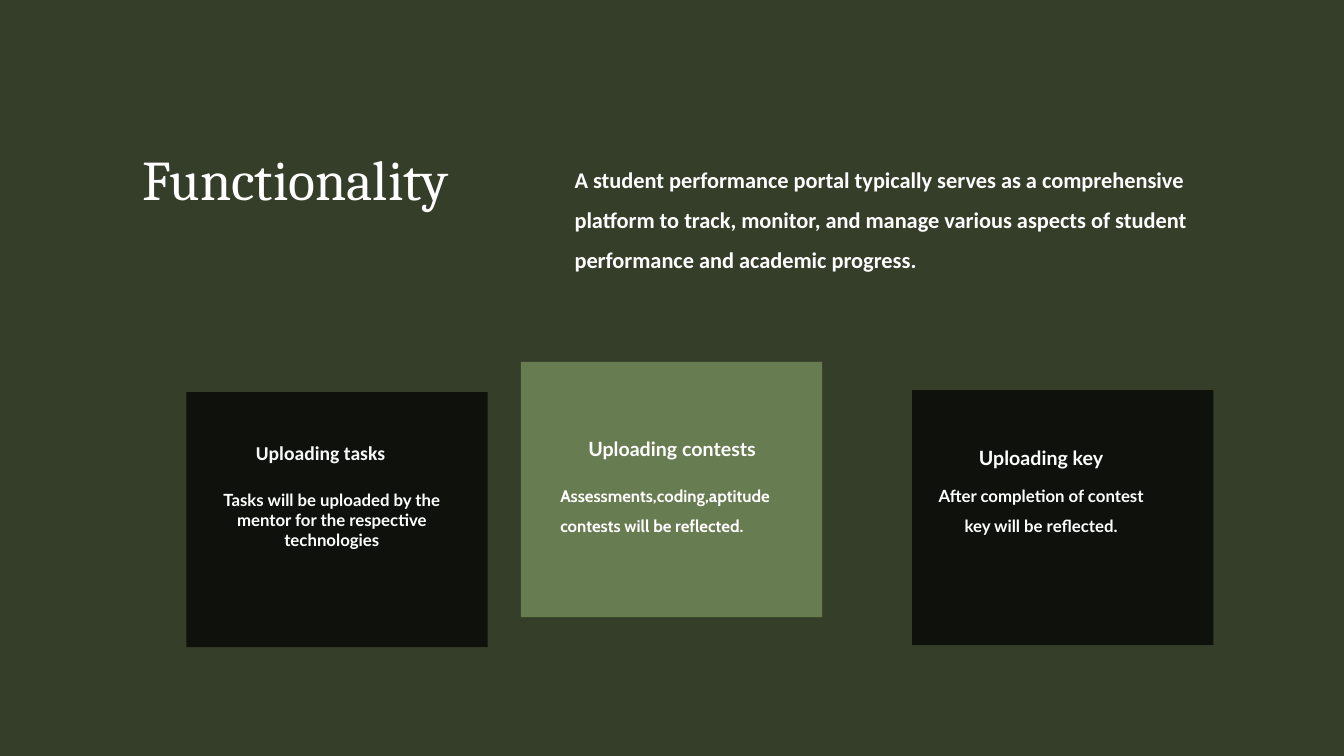
from lxml.etree import SubElement
from pptx import Presentation
from pptx.dml.color import RGBColor
from pptx.enum.shapes import MSO_SHAPE
from pptx.enum.text import MSO_ANCHOR, MSO_AUTO_SIZE, PP_ALIGN
from pptx.oxml.ns import qn
from pptx.util import Cm, Pt

COLOURS = {
    "background": "343E29",
    "dark": "000000",
    "green": "687C51",
    "white": "FFFFFF",
    "soft_white": "F8F8F8",
}
CARD_WIDTH, CARD_HEIGHT = 7.59, 6.43
HEADING_SIZE, DETAIL_SIZE = 14, 12


def colour(name):
    """Return the named colour."""
    return RGBColor.from_string(COLOURS[name])


def add_card(page, left, top, fill, opacity=100):
    """Add a borderless card, see-through when opacity is below 100 percent."""
    card = page.shapes.add_shape(
        MSO_SHAPE.RECTANGLE, Cm(left), Cm(top), Cm(CARD_WIDTH), Cm(CARD_HEIGHT)
    )
    card.shadow.inherit = False
    card.line.fill.background()
    card.fill.solid()
    card.fill.fore_color.rgb = colour(fill)
    if opacity < 100:
        tint = card.fill._xPr.find(qn("a:solidFill"))[0]
        SubElement(tint, qn("a:alpha")).set("val", str(opacity * 1000))


def add_text(page, place, text, size, font="Lato", bold=True, align=PP_ALIGN.LEFT,
             spacing=None, ink="white", insets=(0, 0), anchor=MSO_ANCHOR.TOP):
    """Add a one-paragraph text box at place: left, top, width, height in cm."""
    box = page.shapes.add_textbox(*map(Cm, place))
    frame = box.text_frame
    frame.word_wrap = True
    frame.auto_size = MSO_AUTO_SIZE.SHAPE_TO_FIT_TEXT
    frame.vertical_anchor = anchor
    frame.margin_left = frame.margin_right = Cm(insets[0])
    frame.margin_top = frame.margin_bottom = Cm(insets[1])
    para = frame.paragraphs[0]
    para.alignment = align
    para.line_spacing = spacing
    span = para.add_run()
    span.text = text
    span.font.name = font
    span.font.size = Pt(size)
    span.font.bold = bold
    span.font.color.rgb = colour(ink)


def main():
    """Build the functionality slide."""
    deck = Presentation()
    deck.slide_width, deck.slide_height = Cm(33.87), Cm(19.05)
    page = deck.slides.add_slide(deck.slide_layouts[6])
    page.background.fill.solid()
    page.background.fill.fore_color.rgb = colour("background")

    add_card(page, 4.7, 9.88, "dark", 70)
    add_card(page, 22.99, 9.83, "dark", 70)
    add_card(page, 13.13, 9.12, "green")

    add_text(page, (3.58, 3.78, 11.84, 1.57), "Functionality", 40, "Cambria",
             bold=False, spacing=Pt(44), anchor=MSO_ANCHOR.MIDDLE)
    add_text(page, (14.48, 3.84, 15.54, 2.97),
             "A student performance portal typically serves as a comprehensive "
             "platform to track, monitor, and manage various aspects of student "
             "performance and academic progress.",
             16, "Calibri", spacing=1.5)

    add_text(page, (6.2, 10.97, 4.7, 0.86), "Uploading tasks", HEADING_SIZE,
             "Calibri", ink="soft_white", insets=(0.25, 0.13))
    add_text(page, (5.28, 12.34, 6.17, 1.55),
             "Tasks will be uploaded by the mentor for the respective technologies",
             DETAIL_SIZE, align=PP_ALIGN.CENTER)

    add_text(page, (14.12, 11, 5.64, 0.61), "Uploading contests", HEADING_SIZE,
             align=PP_ALIGN.CENTER)
    add_text(page, (14.12, 11.99, 5.64, 1.45),
             "Assessments,coding,aptitude contests will be reflected.",
             DETAIL_SIZE, "Cabin", align=PP_ALIGN.JUSTIFY, spacing=1.5)

    add_text(page, (23.42, 11.23, 5.64, 0.61), "Uploading key", HEADING_SIZE,
             align=PP_ALIGN.CENTER)
    add_text(page, (23.42, 11.99, 5.64, 1.45),
             "After completion of contest key will be reflected.",
             DETAIL_SIZE, align=PP_ALIGN.CENTER, spacing=1.5)

    deck.save("out.pptx")


if __name__ == "__main__":
    main()
